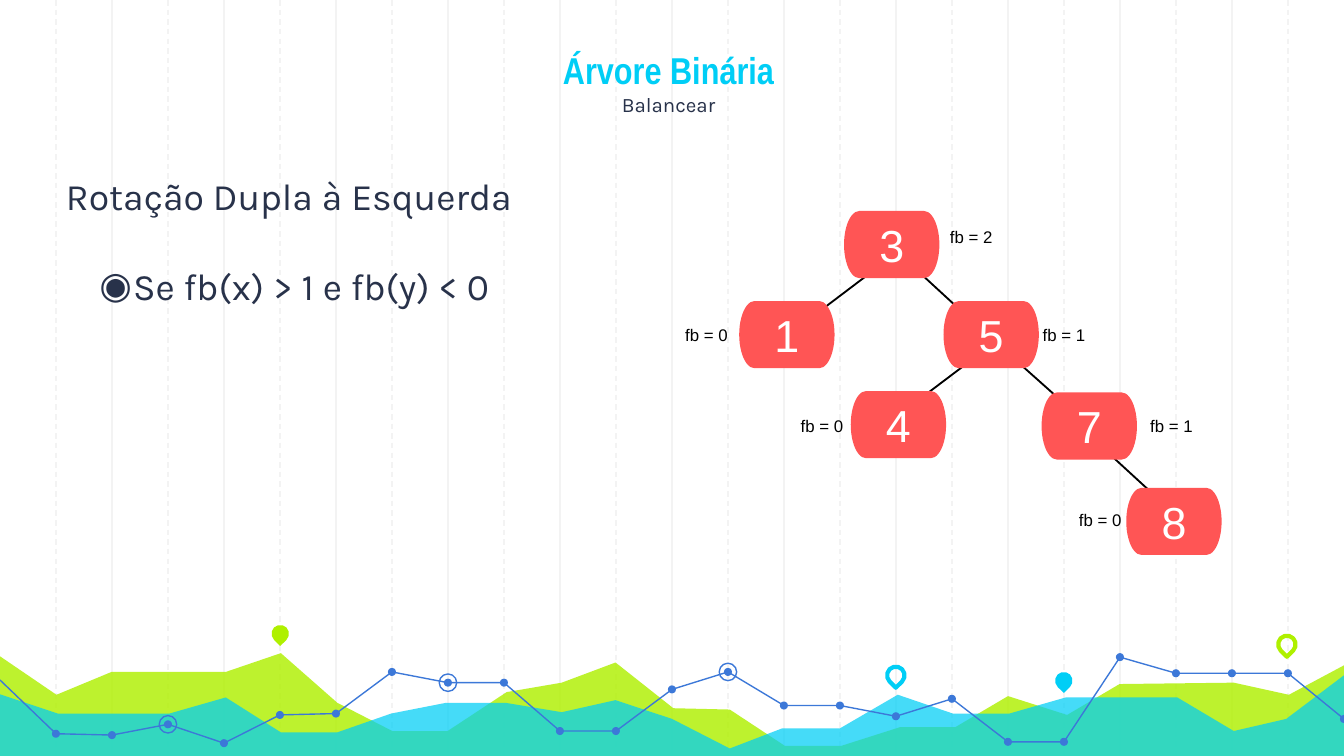
"""Build a slide on the double left rotation of a binary tree."""
from dataclasses import dataclass

from lxml import etree
from pptx import Presentation
from pptx import util as u
from pptx.dml import color
from pptx.enum import dml, shapes, text
from pptx.oxml import ns


@dataclass(frozen=True)
class Theme:
    """Colours, fonts and type sizes of the slide."""
    cyan: str = "00CEF6"
    lime: str = "AFF000"
    blue: str = "3C78D8"
    navy: str = "28324A"
    red: str = "FF5555"
    grid: str = "F3F3F3"
    black: str = "000000"
    white: str = "FFFFFF"
    heading: str = "Arial Narrow"
    body: str = "Karla"
    plain: str = "Arial"
    title_size: int = 20
    subtitle_size: int = 11
    node_size: int = 24
    label_size: int = 9


T = Theme()
WIDTH = 10
HEIGHT = WIDTH * 9 / 16
STEP = WIDTH / 24

LIME_AREA = [
    (-0.02, 4.87), (0.42, 5.17), (0.83, 5), (1.68, 5), (2.09, 4.86),
    (2.51, 5.23), (2.92, 5.44), (3.33, 5.44), (3.77, 5.15), (4.18, 5.08),
    (4.58, 4.93), (5.01, 5.27), (5.43, 5.28), (5.84, 5.55), (6.26, 5.55),
    (6.7, 5.41), (7.11, 5.41), (7.5, 5.18), (7.94, 5.32), (8.33, 5.09),
    (9.18, 5.08), (9.59, 5.17), (10.02, 4.94), (10.01, 5.64), (-0.03, 5.64)]
CYAN_AREA = [
    (-0.02, 5.16), (0.43, 5.31), (1.26, 5.31), (1.68, 5.19), (2.09, 5.45),
    (2.51, 5.45), (2.91, 5.31), (3.32, 5.23), (3.76, 5.23), (4.18, 5.3),
    (4.58, 5.21), (5, 5.35), (5.43, 5.57), (5.82, 5.42), (6.25, 5.42),
    (6.68, 5.17), (7.09, 5.31), (7.51, 5.31), (7.93, 5.19), (8.76, 5.19),
    (9.18, 5.44), (9.57, 5.35), (10.02, 5.01), (10.02, 5.65), (-0.03, 5.65)]
TREND = [5.06, 5.46, 5.47, 5.39, 5.53, 5.32, 5.31, 5, 5.08, 5.08, 5.44, 5.44,
         5.13, 5, 5.25, 5.25, 5.33, 5.2, 5.52, 5.52, 4.89, 5.01, 5.01, 5.01,
         5.35]
TREND_PARTS = [(0, 11), (11, 20), (20, 24)]
RINGED = [3, 8, 13]
PINS = [(2.02, 4.65, T.lime, True), (6.6, 4.96, T.cyan, False),
        (7.85, 5, T.cyan, True), (9.51, 4.73, T.lime, False)]
EDGES = [(6.49, 2.02, 6.08, 2.33), (6.8, 1.99, 7.17, 2.33),
         (7.2, 2.7, 6.79, 3.01), (7.58, 2.7, 7.95, 3.03),
         (8.29, 3.41, 8.66, 3.75)]
NODES = [("3", 6.28, 1.57), ("1", 5.5, 2.24), ("5", 7.02, 2.24),
         ("7", 7.75, 2.92), ("4", 6.33, 2.91), ("8", 8.38, 3.63)]
FACTORS = [(2, 6.97, 1.64), (1, 7.66, 2.37), (0, 5.86, 3.04),
           (0, 5, 2.37), (0, 7.93, 3.74), (1, 8.46, 3.04)]


def rgb(value):
    """Return a colour from its hex code."""
    return color.RGBColor.from_string(value)


def box(x, y, w, h):
    """Return a left, top, width and height in inches."""
    return [u.Inches(v) for v in (x, y, w, h)]


def style(sp, fill=None, line=None, width=0.75):
    """Set the fill and outline of a shape and drop its shadow."""
    sp.shadow.inherit = False
    if fill:
        sp.fill.solid()
        sp.fill.fore_color.rgb = rgb(fill)
    else:
        sp.fill.background()
    if line:
        sp.line.color.rgb = rgb(line)
        sp.line.width = u.Pt(width)
    else:
        sp.line.fill.background()


def style_run(r, font, size, colour, bold=False):
    """Format one run of text."""
    r.font.name = font
    r.font.size = u.Pt(size)
    r.font.color.rgb = rgb(colour)
    r.font.bold = bold


def add_line(s, x1, y1, x2, y2, colour, width, dash=None):
    """Add a straight line."""
    c = s.shapes.add_connector(shapes.MSO_CONNECTOR.STRAIGHT, *box(x1, y1, x2, y2))
    c.line.color.rgb = rgb(colour)
    c.line.width = u.Pt(width)
    if dash:
        c.line.dash_style = dash
    etree.SubElement(c._element.spPr, ns.qn("a:effectLst"))


def add_outline(s, points, close):
    """Add a freeform through points given in inches."""
    (x, y), *rest = [(u.Inches(px), u.Inches(py)) for px, py in points]
    builder = s.shapes.build_freeform(x, y)
    builder.add_line_segments(rest, close=close)
    return builder.convert_to_shape()


def add_area(s, points, colour, opacity):
    """Add a translucent area."""
    sp = add_outline(s, points, True)
    style(sp, fill=colour)
    clr = sp._element.spPr.find(".//" + ns.qn("a:srgbClr"))
    etree.SubElement(clr, ns.qn("a:alpha"), val=str(opacity * 1000))


def add_circle(s, cx, cy, size, **look):
    """Add a circle around a centre."""
    sp = s.shapes.add_shape(shapes.MSO_SHAPE.OVAL,
                            *box(cx - size / 2, cy - size / 2, size, size))
    style(sp, **look)


def add_pin(s, x, y, colour, solid):
    """Add a map pin, solid or hollow."""
    sp = s.shapes.add_shape(shapes.MSO_SHAPE.TEAR, *box(x, y, 0.13, 0.13))
    sp.rotation = 135
    if solid:
        style(sp, fill=colour)
    else:
        style(sp, line=colour, width=2.25)


def add_node(s, value, x, y):
    """Add a tree node."""
    sp = s.shapes.add_shape(shapes.MSO_SHAPE.FLOWCHART_TERMINATOR,
                            *box(x, y, 0.71, 0.5))
    style(sp, fill=T.red)
    tf = sp.text_frame
    tf.text = value
    tf.vertical_anchor = text.MSO_ANCHOR.MIDDLE
    p = tf.paragraphs[0]
    p.alignment = text.PP_ALIGN.CENTER
    style_run(p.runs[0], T.plain, T.node_size, T.white)


def add_factor(s, value, x, y):
    """Add the balance factor label of a node."""
    tf = s.shapes.add_textbox(*box(x, y, 0.63, 0.25)).text_frame
    tf.word_wrap = True
    tf.auto_size = text.MSO_AUTO_SIZE.SHAPE_TO_FIT_TEXT
    tf.text = f"fb = {value}"
    style_run(tf.paragraphs[0].runs[0], T.plain, T.label_size, T.black)


def place(sp, x, y, w, h, anchor):
    """Move a placeholder to the front and set its frame."""
    sp.left, sp.top, sp.width, sp.height = box(x, y, w, h)
    sp._element.getparent().append(sp._element)
    tf = sp.text_frame
    tf.auto_size = text.MSO_AUTO_SIZE.NONE
    tf.word_wrap = True
    tf.vertical_anchor = anchor
    tf.margin_left = tf.margin_right = tf.margin_top = tf.margin_bottom = u.Inches(0.1)
    return tf


def fill_title(sp):
    """Write the title and its subtitle line."""
    p = place(sp, 1.15, 0.19, 7.65, 0.78, text.MSO_ANCHOR.BOTTOM).paragraphs[0]
    p.text = "Árvore Binária\vBalancear"
    p.alignment = text.PP_ALIGN.CENTER
    style_run(p.runs[0], T.heading, T.title_size, T.cyan, True)
    style_run(p.runs[1], T.body, T.subtitle_size, T.navy)
    br = p._p.find(ns.qn("a:br"))
    etree.SubElement(br, ns.qn("a:rPr"), sz=str(T.title_size * 100))


def fill_body(sp):
    """Write the rotation heading and its condition."""
    tf = place(sp, 0.39, 1.19, 4.3, 3.38, text.MSO_ANCHOR.TOP)
    tf.text = "Rotação Dupla à Esquerda\nSe fb(x) > 1 e fb(y) < 0"
    layout = [(0, 0, None, 0), (0.5, -0.25, "◉", 24)]
    for p, (margin, indent, bullet, before) in zip(tf.paragraphs, layout):
        pPr = p._p.get_or_add_pPr()
        pPr.set("marL", str(u.Inches(margin)))
        pPr.set("indent", str(u.Inches(indent)))
        if bullet:
            etree.SubElement(pPr, ns.qn("a:buChar"), char=bullet)
        else:
            etree.SubElement(pPr, ns.qn("a:buNone"))
        p.alignment = text.PP_ALIGN.JUSTIFY
        p.space_before = u.Pt(before)
        style_run(p.runs[0], T.body, T.title_size, T.navy)


def add_background(s):
    """Add the grid, the areas, the trend line and the pins."""
    for first, dash in ((2, None), (1, dml.MSO_LINE.DASH)):
        for col in range(first, 24, 2):
            add_line(s, col * STEP, 0, col * STEP, 5.65, T.grid, 0.75, dash)
    add_area(s, LIME_AREA, T.lime, 82)
    add_area(s, CYAN_AREA, T.cyan, 73)
    points = [(col * STEP, y) for col, y in enumerate(TREND)]
    for first, last in TREND_PARTS:
        style(add_outline(s, points[first:last + 1], False), line=T.blue)
    for point in points[1:]:
        add_circle(s, *point, 0.06, fill=T.blue)
    for col in RINGED:
        add_circle(s, *points[col], 0.13, line=T.blue)
    for pin in PINS:
        add_pin(s, *pin)


def main():
    """Build and save the slide."""
    prs = Presentation()
    prs.slide_width, prs.slide_height = u.Inches(WIDTH), u.Inches(HEIGHT)
    s = prs.slides.add_slide(prs.slide_layouts[1])
    add_background(s)
    fill_title(s.shapes.title)
    fill_body(s.placeholders[1])
    for edge in EDGES:
        add_line(s, *edge, T.black, 1)
    for node in NODES:
        add_node(s, *node)
    for factor in FACTORS:
        add_factor(s, *factor)
    prs.save("out.pptx")


if __name__ == "__main__":
    main()
